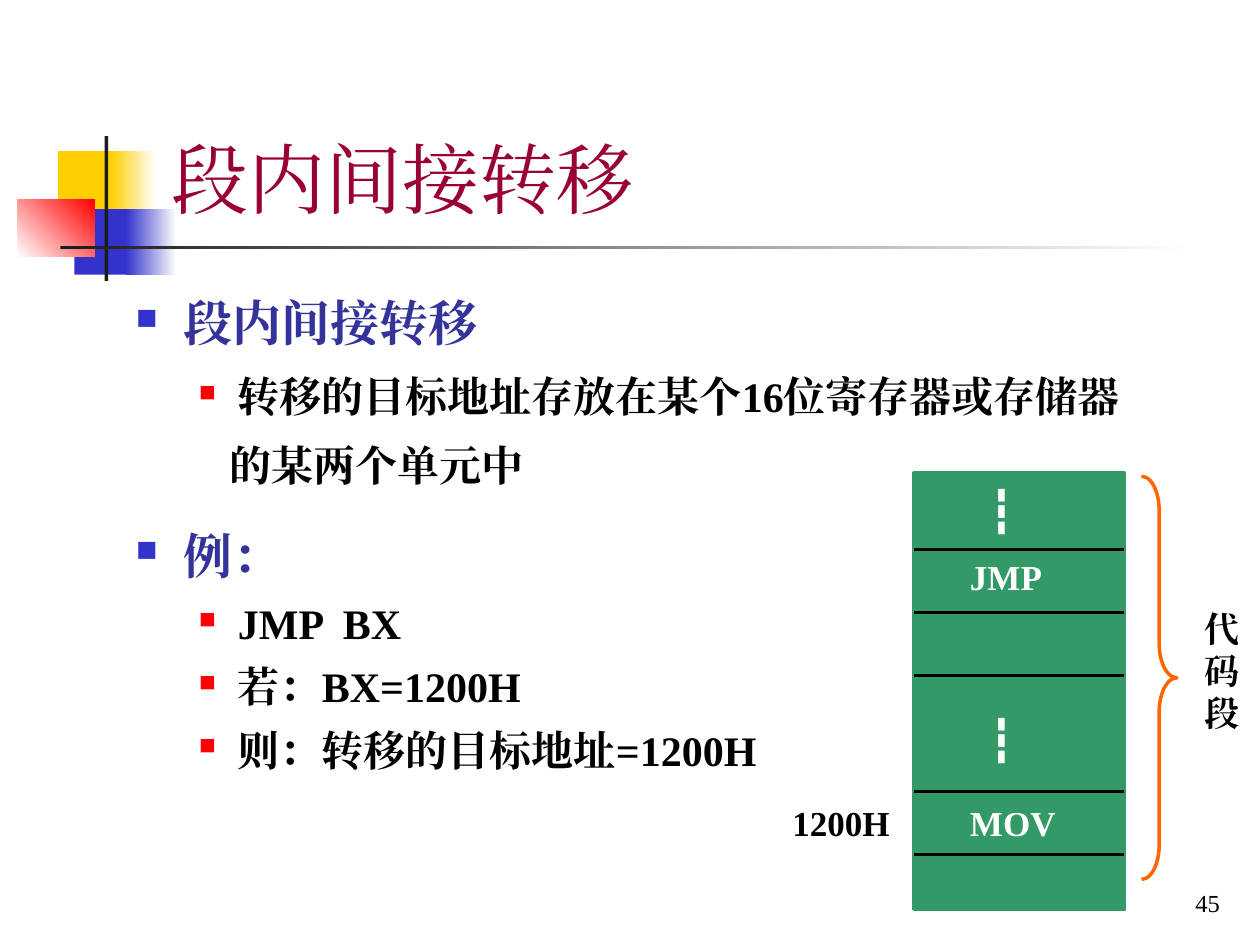
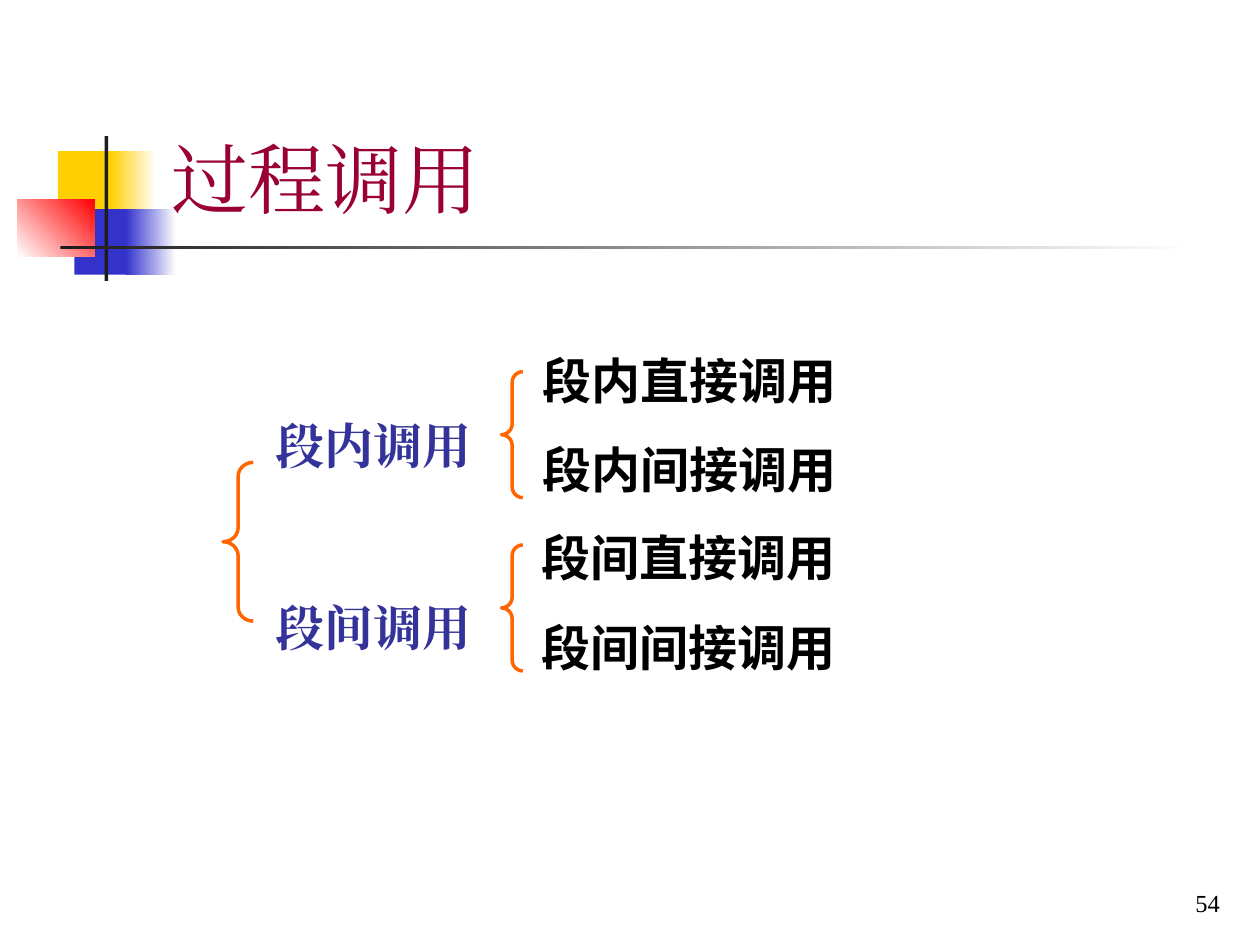
"""Builds two slides on jumps and calls within and between code segments."""
from lxml import etree
from pptx import Presentation, util as u
from pptx.dml.color import RGBColor
from pptx.enum import shapes, text
from pptx.oxml import ns

COLS, ROWS = 100, 75
SERIF, SANS = "Times New Roman", "Arial"
BLACK, WHITE, INK = "000000", "FFFFFF", "1C1C1C"
GOLD, BLUE, RED = "FFCF01", "3333CC", "FF0000"
WINE, NAVY, GREEN, ORANGE = "990033", "333399", "339966", "FF6600"

HEAD = {"size": 28, "bold": True, "color": NAVY}
ITEM = {"size": 24, "bold": True, "color": BLACK}
CODE = {"size": 20, "bold": True, "color": WHITE}
NOTE = {**CODE, "color": BLACK}
DOTS = {**ITEM, "color": WHITE}
CALL = {**HEAD, "color": BLACK, "face": SANS}
TOP = {"mark": (BLUE, 60), "left": 0.38, "hang": 0.38}
SUB = {"mark": (RED, 55), "left": 0.81, "hang": 0.31}


def tint(code):
    """Turn a hex string into a colour."""
    return RGBColor.from_string(code)


class Deck:
    """Holds the style and the current slide."""

    def __init__(self):
        """Open an empty deck of ten by seven and a half inches."""
        self.prs = Presentation()
        self.prs.slide_width, self.prs.slide_height = u.Inches(10), u.Inches(7.5)
        self.page = None

    def place(self, x, y, w, h):
        """Turn grid columns and rows into lengths."""
        col, row = self.prs.slide_width / COLS, self.prs.slide_height / ROWS
        return [u.Emu(round(n * size)) for n, size in zip((x, y, w, h), (col, row) * 2)]

    def slide(self, title, number):
        """Start a slide with the shared emblem, title and number."""
        self.page = self.prs.slides.add_slide(self.prs.slide_layouts[6]).shapes
        self.block((4.6, 12, 4.8, 5.2), GOLD)
        self.block((8.8, 12, 3.6, 5.2), GOLD, WHITE)
        self.block((5.9, 16.6, 4.6, 5.2), BLUE)
        self.block((10, 16.6, 4, 5.2), BLUE, WHITE)
        self.block((1.4, 15.8, 6.1, 4.6), WHITE, RED, 45)
        self.block((8.3, 10.8, 0.3, 11.5), INK)
        self.block((4.8, 19.5, 90, 0.3), INK, WHITE)
        low = text.MSO_ANCHOR.BOTTOM
        self.words((12.6, 2.3, 85.2, 16), [(title, {"size": 44, "color": WINE}, {})], low)
        right = {"alignment": text.PP_ALIGN.RIGHT}
        self.words((77, 68.3, 20.8, 5), [(number, {"size": 14, "color": BLACK}, right)], low)

    def block(self, box, color, fade=None, angle=0):
        """Draw a plain or fading rectangle."""
        shape = self.page.add_shape(shapes.MSO_SHAPE.RECTANGLE, *self.place(*box))
        shape.shadow.inherit = False
        shape.line.fill.background()
        if fade:
            shape.fill.gradient()
            shape.fill.gradient_angle = angle
            for stop, code in zip(shape.fill.gradient_stops, (color, fade)):
                stop.color.rgb = tint(code)
        else:
            shape.fill.solid()
            shape.fill.fore_color.rgb = tint(color)
        return shape

    def edge(self, shape, color):
        """Give a shape a two point line."""
        shape.line.color.rgb = tint(color)
        shape.line.width = u.Pt(2)

    def brace(self, box, curl, kind=shapes.MSO_SHAPE.LEFT_BRACE):
        """Draw an open orange brace."""
        shape = self.page.add_shape(kind, *self.place(*box))
        shape.shadow.inherit = False
        shape.fill.background()
        shape.adjustments[0] = curl
        self.edge(shape, ORANGE)

    def rule(self, x, y, w):
        """Draw a level black line."""
        left, top, wide, _ = self.place(x, y, w, 0)
        line = self.page.add_connector(shapes.MSO_CONNECTOR.STRAIGHT, left, top, left + wide, top)
        self.edge(line, BLACK)
        etree.SubElement(line._element.spPr, ns.qn("a:effectLst"))

    def words(self, box, paras, anchor=text.MSO_ANCHOR.TOP):
        """Write paragraphs, each a text with font and layout values."""
        frame = self.page.add_textbox(*self.place(*box)).text_frame
        frame.word_wrap, frame.vertical_anchor = True, anchor
        for i, (line, font, form) in enumerate(paras):
            para = frame.add_paragraph() if i else frame.paragraphs[0]
            self.indent(para, **form)
            run = para.add_run()
            run.text = line
            self.style(run, **font)

    def style(self, run, color, face=SERIF, **values):
        """Set the font of a run."""
        run.font.name = face
        run.font.color.rgb = tint(color)
        etree.SubElement(run.font._element, ns.qn("a:ea"), typeface=face)
        values["size"] = u.Pt(values["size"])
        for name, value in values.items():
            setattr(run.font, name, value)

    def indent(self, para, mark=None, left=0, hang=0, **values):
        """Set indents, bullet and spacing of a paragraph."""
        props = para._p.get_or_add_pPr()
        props.set("marL", str(u.Inches(left)))
        props.set("indent", str(-u.Inches(hang)))
        if mark:
            color, size = mark
            shade = etree.SubElement(props, ns.qn("a:buClr"))
            etree.SubElement(shade, ns.qn("a:srgbClr"), val=color)
            etree.SubElement(props, ns.qn("a:buSzPct"), val=str(size * 1000))
            etree.SubElement(props, ns.qn("a:buChar"), char="■")
        for name, value in values.items():
            setattr(para, name, value)


def gaps(before, after):
    """Give the spacing values of a list paragraph."""
    return {"line_spacing": 1.1, "space_before": u.Pt(before), "space_after": u.Pt(after)}


def jump(deck):
    """Build the slide on indirect jumps within a segment."""
    deck.slide("段内间接转移", "45")
    wide, tight = gaps(4.5, 3), gaps(3, 1.5)
    paras = [
        ("段内间接转移", HEAD, {**TOP, **gaps(0, 3.5)}),
        ("转移的目标地址存放在某个16位寄存器或存储器", ITEM, {**SUB, **wide}),
        ("的某两个单元中", ITEM, {"left": 0.74, **wide}),
        ("例：", HEAD, {**TOP, **gaps(14, 1.8)}),
    ]
    steps = ("JMP  BX", "若：BX=1200H", "则：转移的目标地址=1200H")
    paras += [(step, ITEM, {**SUB, **tight}) for step in steps]
    deck.words((9.8, 22.3, 83.5, 46.6), paras)

    left, wide = 72.5, 16.7
    deck.edge(deck.block((left, 37.5, wide, 34.7), GREEN), GREEN)
    for y in (43.6, 48.6, 53.6, 62.8, 67.8):
        deck.rule(left, y, wide)
    for y in (38, 56.1):
        deck.words((77.5, y, 5.8, 5), [("┇", DOTS, {})])
    for name, y in (("JMP", 43.6), ("MOV", 63.1)):
        deck.words((76, y, 11.7, 4.4), [(name, CODE, {})])
    deck.words((61.9, 63.1, 11.4, 4.4), [("1200H", NOTE, {})])
    deck.brace((90.6, 37.8, 2.8, 32), 0.97, shapes.MSO_SHAPE.RIGHT_BRACE)
    deck.words((94.6, 47.7, 5.1, 11), [("代码段", NOTE, {})])


def call(deck):
    """Build the slide that sorts procedure calls."""
    deck.slide("过程调用", "54")
    kinds = (("段内调用", 0), ("段间调用", 65.5))
    deck.words((20.9, 32, 39.2, 24.2), [(kind, HEAD, gaps(gap, 1.8)) for kind, gap in kinds])
    groups = (("段内直接调用", "段内间接调用"), ("段间直接调用", "段间间接调用"))
    for i, group in enumerate(groups):
        paras = [(name, CALL, {"space_before": u.Pt(17.5 * j)}) for j, name in enumerate(group)]
        deck.words((42.1 - 0.1 * i, 27.3 + 14.1 * i, 28.3, 12.8), paras)
        deck.brace((39.8, 29.5 + 13.75 * i, 1.7, 10), 0.5)
    deck.brace((17.7, 36.7, 2.4, 12.6), 0.46)


def main():
    """Build and save the deck."""
    deck = Deck()
    jump(deck)
    call(deck)
    deck.prs.save("out.pptx")


if __name__ == "__main__":
    main()
